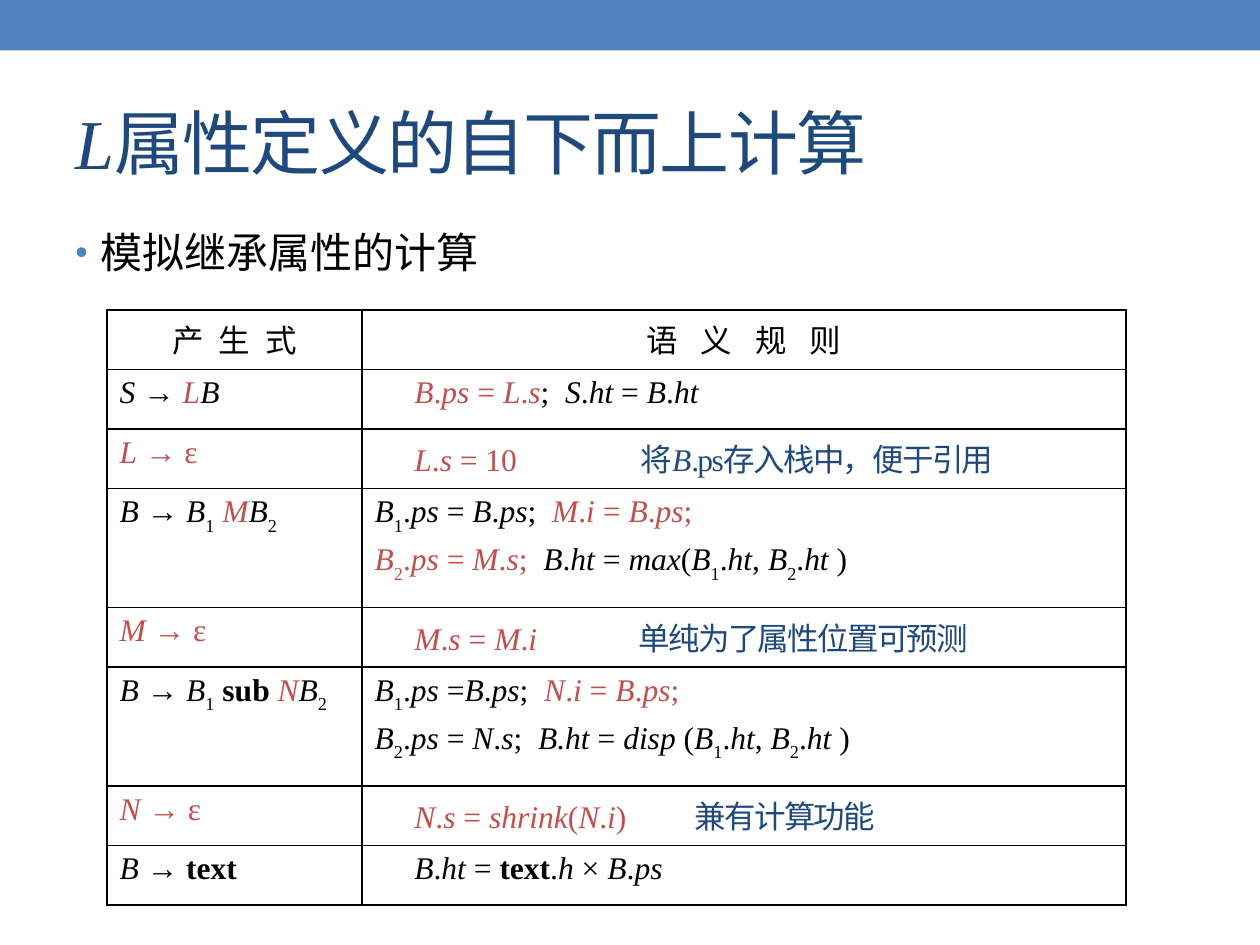
"""Build a slide on bottom-up evaluation of L-attributed definitions."""
from dataclasses import dataclass, replace
from typing import Iterator

from lxml import etree
from pptx import Presentation
from pptx import util as u
from pptx.dml import color
from pptx.enum import shapes, text
from pptx.oxml import ns

FONT = "Times New Roman"
COLORS = {
    "band": "4F81BD",
    "navy": "1F497D",
    "red": "C0504D",
    "black": "000000",
}
ROW_HEIGHT = 34
COLUMN_WIDTHS = (145.7, 436.5)
RULE_INDENT = 22.7
TOGGLES = {"*": "italic", "#": "bold", "_": "subscript"}
COLOR_MARKS = {"{": "red", "<": "navy", "}": "black", ">": "black"}
WIDE_SPACE = "~"


@dataclass(frozen=True)
class Style:
    size: float = 18
    color: str = "black"
    italic: bool = False
    bold: bool = False
    subscript: bool = False
    spacing: float = 0


@dataclass(frozen=True)
class Production:
    left: str
    rules: tuple[str, ...]
    tabs: tuple[float, ...] = ()
    units: int = 1


PRODUCTIONS = (
    Production("*S* → {*L*}*B*",
               ("\t{*B*.*ps* = *L*.*s*};~*S*.*ht* = *B*.*ht*",), (RULE_INDENT,)),
    Production("{*L* → ε}",
               ("\t{*L*.*s* = 10}\t<将*B*.ps存入栈中，便于引用>",), (RULE_INDENT, 152)),
    Production("*B* → *B*_1_ {*M*}*B*_2_",
               ("*B*_1_.*ps* = *B*.*ps*;~{*M*.*i* = *B*.*ps*;}",
                "{*B*_2_.*ps* = *M*.*s*;~}*B*.*ht* = *max*(*B*_1_.*ht*, *B*_2_.*ht* )"),
               units=2),
    Production("{*M* → ε}",
               ("\t{*M*.*s* = *M*.*i*}\t<单纯为了属性位置可预测>",), (RULE_INDENT, 151)),
    Production("*B* → *B*_1_ #sub# {*N*}*B*_2_",
               ("*B*_1_.*ps* =*B*.*ps*;~{*N*.*i* = *B*.*ps*;}",
                "*B*_2_.*ps* = *N*.*s*;~*B.ht* = *disp* (*B*_1_.*ht*, *B*_2_.*ht* )"),
               units=2),
    Production("{*N* → ε}",
               ("\t{*N*.*s* = *shrink*(*N*.*i*)}\t<兼有计算功能>",), (RULE_INDENT, 183)),
    Production("*B* → #text#",
               ("\t*B*.*ht* = #text#.*h* × *B*.*ps*",), (RULE_INDENT,)),
)


def split_runs(markup: str) -> Iterator[tuple[str, Style]]:
    style, pending = Style(), ""
    for mark in markup:
        if mark not in TOGGLES and mark not in COLOR_MARKS and mark != WIDE_SPACE:
            pending += mark
            continue
        if pending:
            yield pending, style
            pending = ""
        if mark in TOGGLES:
            name = TOGGLES[mark]
            style = replace(style, **{name: not getattr(style, name)})
        elif mark in COLOR_MARKS:
            style = replace(style, color=COLOR_MARKS[mark],
                            spacing=-1 if mark == "<" else 0)
        else:
            yield " ", replace(style, spacing=4.5)
    if pending:
        yield pending, style


def add_run(paragraph, content: str, style: Style) -> None:
    run = paragraph.add_run()
    run.text = content
    run.font.name = FONT
    run.font.size = u.Pt(style.size)
    run.font.italic = style.italic
    run.font.bold = style.bold
    run.font.color.rgb = color.RGBColor.from_string(COLORS[style.color])
    properties = run.font._element
    if style.spacing:
        properties.set("spc", str(round(style.spacing * 100)))
    if style.subscript:
        properties.set("baseline", "-30000")


def add_tabs(paragraph, positions: tuple[float, ...]) -> None:
    if positions:
        tab_list = etree.SubElement(paragraph._p.get_or_add_pPr(), ns.qn("a:tabLst"))
        for position in positions:
            etree.SubElement(tab_list, ns.qn("a:tab"), pos=str(u.Pt(position)), algn="l")


def fill_cell(cell, lines: tuple[str, ...], tabs: tuple[float, ...] = ()) -> None:
    frame = cell.text_frame
    for index, line in enumerate(lines):
        paragraph = frame.add_paragraph() if index else frame.paragraphs[0]
        add_tabs(paragraph, tabs)
        if index:
            paragraph.space_before = u.Pt(3.6)
        for content, style in split_runs(line):
            add_run(paragraph, content, style)


def format_cell(cell) -> None:
    properties = cell._tc.get_or_add_tcPr()
    for side in ("a:lnL", "a:lnR", "a:lnT", "a:lnB"):
        line = etree.SubElement(properties, ns.qn(side), w=str(u.Pt(1)))
        fill = etree.SubElement(line, ns.qn("a:solidFill"))
        etree.SubElement(fill, ns.qn("a:srgbClr"), val=COLORS["black"])
    cell.fill.background()


def add_band(slide) -> None:
    band = slide.shapes.add_shape(shapes.MSO_SHAPE.RECTANGLE,
                                  u.Pt(0), u.Pt(0), u.Pt(720), u.Pt(28.8))
    band.shadow.inherit = False
    band.fill.solid()
    band.fill.fore_color.rgb = color.RGBColor.from_string(COLORS["band"])
    band.line.fill.background()


def add_title(slide) -> None:
    title = slide.shapes.title
    title.left, title.top = u.Pt(36), u.Pt(42)
    title.width, title.height = u.Pt(648), u.Pt(78)
    title.text_frame.vertical_anchor = text.MSO_ANCHOR.MIDDLE
    paragraph = title.text_frame.paragraphs[0]
    paragraph.alignment = text.PP_ALIGN.LEFT
    style = Style(size=40, color="navy", spacing=-1)
    add_run(paragraph, "L", replace(style, italic=True))
    add_run(paragraph, "属性定义的自下而上计算", style)


def add_topic(slide) -> None:
    box = slide.shapes.add_textbox(u.Pt(36), u.Pt(126), u.Pt(648), u.Pt(384))
    box.text_frame.word_wrap = True
    paragraph = box.text_frame.paragraphs[0]
    properties = paragraph._p.get_or_add_pPr()
    properties.set("marL", str(u.Pt(14.4)))
    properties.set("indent", str(u.Pt(-14.4)))
    bullet_color = etree.SubElement(properties, ns.qn("a:buClr"))
    etree.SubElement(bullet_color, ns.qn("a:srgbClr"), val=COLORS["band"])
    etree.SubElement(properties, ns.qn("a:buSzPct"), val="85000")
    etree.SubElement(properties, ns.qn("a:buFont"), typeface="Arial")
    etree.SubElement(properties, ns.qn("a:buChar"), char="•")
    add_run(paragraph, "模拟继承属性的计算", Style(size=24))


def add_rules_table(slide) -> None:
    units = (1, *(production.units for production in PRODUCTIONS))
    table = slide.shapes.add_table(
        len(units), len(COLUMN_WIDTHS), u.Pt(61.2), u.Pt(177.2),
        u.Pt(sum(COLUMN_WIDTHS)), u.Pt(ROW_HEIGHT * sum(units))).table
    table.first_row = table.horz_banding = False
    for column, width in zip(table.columns, COLUMN_WIDTHS):
        column.width = u.Pt(width)
    for row, count in zip(table.rows, units):
        row.height = u.Pt(ROW_HEIGHT * count)
    for cell in table.iter_cells():
        format_cell(cell)
    for index, (heading, spacing) in enumerate((("产 生 式", 2.25), ("语 义 规 则", 4.5))):
        paragraph = table.cell(0, index).text_frame.paragraphs[0]
        paragraph.alignment = text.PP_ALIGN.CENTER
        add_run(paragraph, heading, Style(spacing=spacing))
    for index, production in enumerate(PRODUCTIONS, start=1):
        fill_cell(table.cell(index, 0), (production.left,))
        fill_cell(table.cell(index, 1), production.rules, production.tabs)


def main() -> None:
    presentation = Presentation()
    presentation.slide_width, presentation.slide_height = u.Pt(720), u.Pt(540)
    slide = presentation.slides.add_slide(presentation.slide_layouts[5])
    add_band(slide)
    add_title(slide)
    add_topic(slide)
    add_rules_table(slide)
    presentation.save("out.pptx")


if __name__ == "__main__":
    main()
